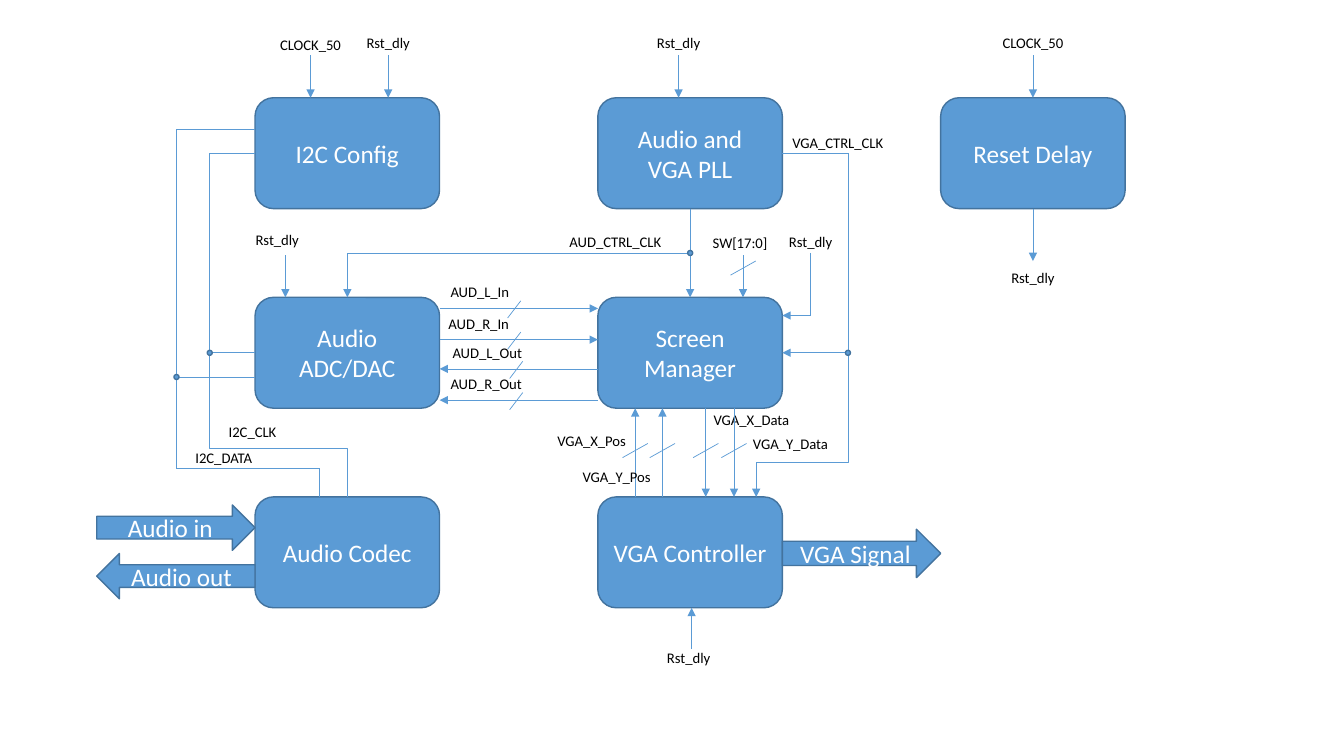
from lxml.etree import SubElement
from pptx import Presentation
from pptx.dml.color import RGBColor
from pptx.enum.shapes import MSO_CONNECTOR as Connector, MSO_SHAPE as Shape
from pptx.enum.text import MSO_ANCHOR as Anchor, MSO_AUTO_SIZE as AutoSize, PP_ALIGN as Align
from pptx.oxml.ns import qn
from pptx.util import Inches, Pt

FONT = "Calibri"
FILL, OUTLINE, WHITE, BLACK = "5B9BD5", "43739E", "FFFFFF", "000000"
GRID_LEFT, GRID_TOP = 2.53, 0.97
COLUMN_STEP, ROW_STEP = 3.4, 1.98
BLOCK_WIDTH, BLOCK_HEIGHT = 1.83, 1.1
ARROW_WIDTH = 1.57
LABEL_WIDTH, LABEL_HEIGHT = 1.23, 0.28
DOT = 0.05


def left(column):
    return GRID_LEFT + column * COLUMN_STEP


def right(column):
    return left(column) + BLOCK_WIDTH


def middle(column):
    return left(column) + BLOCK_WIDTH / 2


def top(row):
    return GRID_TOP + row * ROW_STEP


def bottom(row):
    return top(row) + BLOCK_HEIGHT


def centre(row):
    return top(row) + BLOCK_HEIGHT / 2


def color(hex_string):
    return RGBColor.from_string(hex_string)


def add_run(paragraph, text, size, hex_string):
    run = paragraph.add_run()
    run.text = text
    run.font.name = FONT
    run.font.size = Pt(size)
    run.font.color.rgb = color(hex_string)


def solid(slide, kind, x, y, width, height, text=""):
    shape = slide.shapes.add_shape(kind, Inches(x), Inches(y), Inches(width), Inches(height))
    shape.shadow.inherit = False
    shape.fill.solid()
    shape.fill.fore_color.rgb = color(FILL)
    shape.line.color.rgb = color(OUTLINE)
    shape.line.width = Pt(1)
    if text:
        frame = shape.text_frame
        frame.word_wrap = True
        frame.vertical_anchor = Anchor.MIDDLE
        frame.paragraphs[0].alignment = Align.CENTER
        add_run(frame.paragraphs[0], text, 18, WHITE)


def block(slide, text, column, row):
    solid(slide, Shape.ROUNDED_RECTANGLE, left(column), top(row), BLOCK_WIDTH, BLOCK_HEIGHT, text)


def junction(slide, x, y):
    solid(slide, Shape.OVAL, x - DOT / 2, y - DOT / 2, DOT, DOT)


def label(slide, text, x, y, align=Align.LEFT):
    if align == Align.CENTER:
        x -= LABEL_WIDTH / 2
    box = slide.shapes.add_textbox(Inches(x), Inches(y), Inches(LABEL_WIDTH), Inches(LABEL_HEIGHT))
    frame = box.text_frame
    frame.word_wrap = True
    frame.auto_size = AutoSize.SHAPE_TO_FIT_TEXT
    frame.paragraphs[0].alignment = align
    add_run(frame.paragraphs[0], text, 10.5, BLACK)


def wire(slide, start, end, arrow=False, kind=Connector.STRAIGHT):
    connector = slide.shapes.add_connector(kind, *(Inches(value) for value in (*start, *end)))
    connector.line.color.rgb = color(FILL)
    connector.line.width = Pt(0.5)
    properties = connector.element.spPr
    if arrow:
        SubElement(properties.find(qn("a:ln")), qn("a:tailEnd"), type="triangle")
    SubElement(properties, qn("a:effectLst"))
    return properties


def set_bends(properties, preset, shares):
    geometry = properties.find(qn("a:prstGeom"))
    geometry.set("prst", preset)
    for number, share in enumerate(shares, 1):
        SubElement(geometry.find(qn("a:avLst")), qn("a:gd"),
                   name=f"adj{number}", fmla=f"val {round(share * 100000)}")


def drop_left(slide, start, end, bend):
    middle_x, middle_y = (start[0] + end[0]) / 2, (start[1] + end[1]) / 2
    half_width, half_height = (end[1] - start[1]) / 2, (start[0] - end[0]) / 2
    properties = wire(slide, (middle_x - half_width, middle_y - half_height),
                      (middle_x + half_width, middle_y + half_height), True, Connector.ELBOW)
    properties.find(qn("a:xfrm")).set("rot", str(90 * 60000))
    set_bends(properties, "bentConnector3", [bend])


def slash(slide, x, y, width, height):
    wire(slide, (x - width / 2, y + height / 2), (x + width / 2, y - height / 2))


def audio_bus(slide, text, label_x, y, slash_x, inward):
    ends = [(right(0), y), (left(1), y)]
    wire(slide, *(ends if inward else ends[::-1]), arrow=True)
    slash(slide, slash_x, y + 0.01, 0.13, 0.17)
    label(slide, text, label_x, y - 0.3)


def video_bus(slide, text, label_x, label_y, x, downward):
    ends = [(x, bottom(1)), (x, top(2))]
    wire(slide, *(ends if downward else ends[::-1]), arrow=True)
    slash(slide, x, 4.47, 0.25, 0.14)
    label(slide, text, label_x, label_y)


def input_pin(slide, text, x, row, label_x, label_y):
    wire(slide, (x, top(row) - 0.42), (x, top(row)), True)
    label(slide, text, label_x, label_y, Align.CENTER)


def draw_blocks(slide):
    for text, column, row in [
        ("I2C Config", 0, 0), ("Audio and VGA PLL", 1, 0), ("Reset Delay", 2, 0),
        ("Audio ADC/DAC", 0, 1), ("Screen Manager", 1, 1),
        ("Audio Codec", 0, 2), ("VGA Controller", 1, 2),
    ]:
        block(slide, text, column, row)
    audio_x = left(0) - ARROW_WIDTH
    solid(slide, Shape.RIGHT_ARROW, audio_x, 5.01, ARROW_WIDTH, 0.45, "Audio in")
    solid(slide, Shape.LEFT_ARROW, audio_x, 5.49, ARROW_WIDTH, 0.45, "Audio out")
    solid(slide, Shape.RIGHT_ARROW, right(1), 5.25, ARROW_WIDTH, 0.48, "VGA Signal")


def draw_clocks(slide):
    vga_x = 8.41
    wire(slide, (right(1), centre(0)), (vga_x, centre(0)))
    drop_left(slide, (vga_x, centre(0)), (7.5, top(2)), 0.9)
    wire(slide, (vga_x, centre(1)), (right(1), centre(1)), True)
    junction(slide, vga_x, centre(1))
    label(slide, "VGA_CTRL_CLK", right(1), 1.28)
    pll_output = (middle(1), bottom(0))
    drop_left(slide, pll_output, (middle(0), top(1)), 0.5)
    wire(slide, pll_output, (middle(1), top(1)), True)
    junction(slide, middle(1), (bottom(0) + top(1)) / 2)
    label(slide, "AUD_CTRL_CLK", 5.55, 2.26)


def draw_i2c(slide):
    clock_x, data_x, data_y, codec_x = 2.08, 1.75, 4.65, 3.17
    properties = wire(slide, (left(0), centre(0)), (middle(0), top(2)), kind=Connector.ELBOW)
    set_bends(properties, "bentConnector4", [-0.5, 0.86])
    wire(slide, (clock_x, centre(1)), (left(0), centre(1)))
    junction(slide, clock_x, centre(1))
    label(slide, "I2C_CLK", 2.17, 4.15)
    route = [(left(0), 1.28), (data_x, 1.28), (data_x, data_y), (codec_x, data_y), (codec_x, top(2))]
    for start, end in zip(route, route[1:]):
        wire(slide, start, end)
    wire(slide, (data_x, 3.74), (left(0), 3.74))
    junction(slide, data_x, 3.74)
    label(slide, "I2C_DATA", 1.84, 4.4)


def draw_buses(slide):
    for bus in [
        ("AUD_L_In", 4.37, 3.06, 5.1, True), ("AUD_R_In", 4.35, 3.37, 5.1, True),
        ("AUD_L_Out", 4.39, 3.66, 5.12, False), ("AUD_R_Out", 4.37, 3.97, 5.12, False),
    ]:
        audio_bus(slide, *bus)
    for bus in [
        ("VGA_X_Pos", 5.43, 4.23, 6.3, False), ("VGA_Y_Pos", 5.68, 4.59, 6.57, False),
        ("VGA_X_Data", 6.98, 4.03, 7, True), ("VGA_Y_Data", 7.37, 4.26, 7.28, True),
    ]:
        video_bus(slide, *bus)


def draw_pins(slide):
    for pin in [
        ("CLOCK_50", 3.08, 0, 3.08, 0.31), ("Rst_dly", 3.85, 0, 3.85, 0.29),
        ("Rst_dly", 6.73, 0, 6.73, 0.29), ("CLOCK_50", middle(2), 0, middle(2), 0.29),
        ("Rst_dly", 2.83, 1, 2.75, 2.24), ("SW[17:0]", 7.37, 1, 7.34, 2.27),
    ]:
        input_pin(slide, *pin)
    slash(slide, 7.37, 2.66, 0.25, 0.14)
    wire(slide, (middle(2), bottom(0)), (middle(2), 2.59), True)
    label(slide, "Rst_dly", middle(2), 2.62, Align.CENTER)
    wire(slide, (6.86, 6.44), (6.86, bottom(2)), True)
    label(slide, "Rst_dly", 6.83, 6.39, Align.CENTER)
    wire(slide, (8.04, 2.51), (8.04, 3.13))
    wire(slide, (8.04, 3.13), (right(1), 3.13), True)
    label(slide, "Rst_dly", 8.04, 2.26, Align.CENTER)


def main():
    presentation = Presentation()
    presentation.slide_width, presentation.slide_height = Inches(13.33), Inches(7.5)
    slide = presentation.slides.add_slide(presentation.slide_layouts[6])
    for draw in (draw_blocks, draw_clocks, draw_i2c, draw_buses, draw_pins):
        draw(slide)
    presentation.save("out.pptx")


main()
